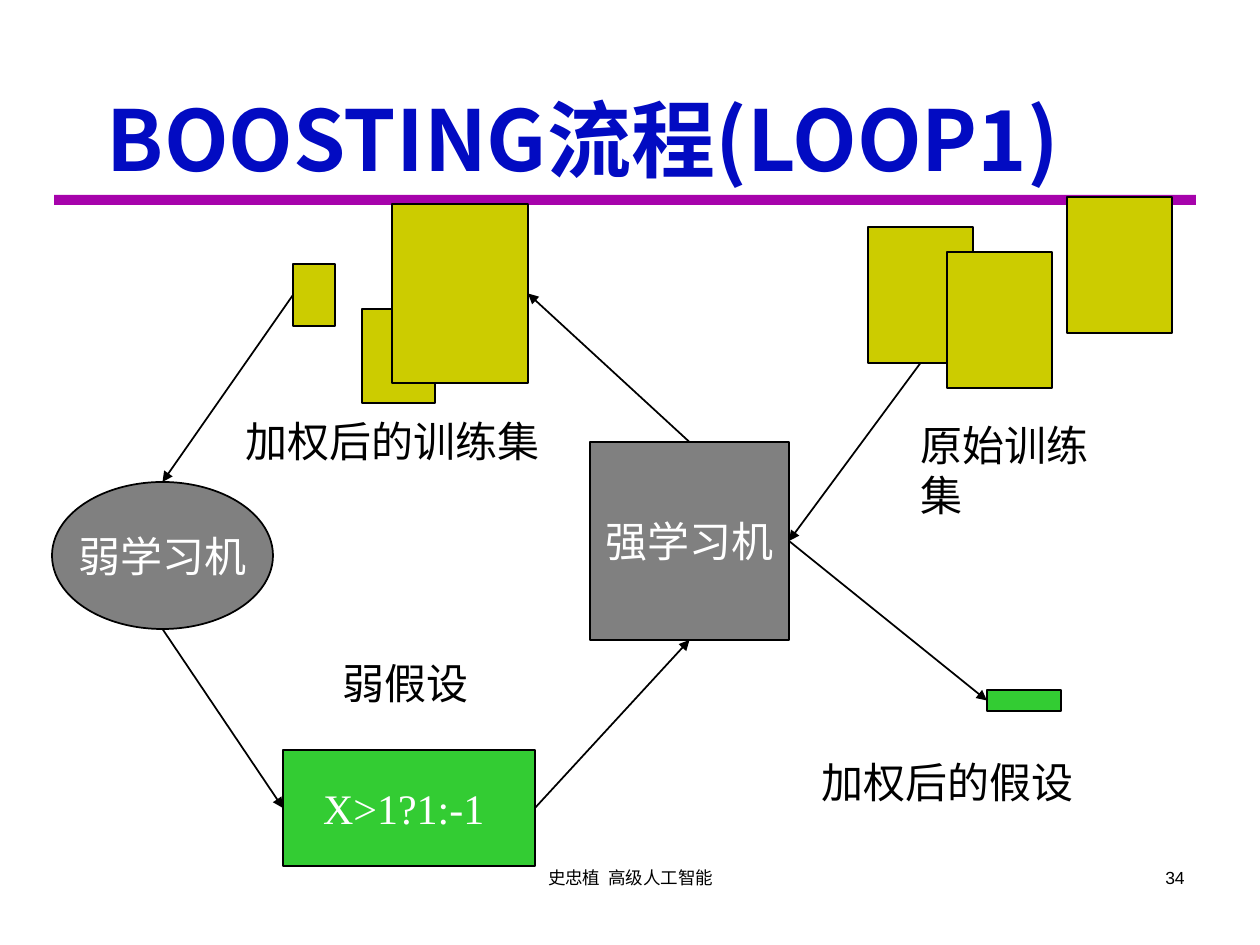
from lxml import etree
from pptx import Presentation
from pptx import util as u
from pptx.dml.color import RGBColor
from pptx.enum import shapes, text
from pptx.oxml.ns import qn

PX = 914400 / 126
BLACK = RGBColor(0x00, 0x00, 0x00)
WHITE = RGBColor(0xFF, 0xFF, 0xFF)
BLUE = RGBColor(0x02, 0x0B, 0xC2)
PURPLE = RGBColor(0xA6, 0x03, 0xAB)
GRAY = RGBColor(0x80, 0x80, 0x80)
YELLOW = RGBColor(0xCC, 0xCC, 0x00)
GREEN = RGBColor(0x33, 0xCC, 0x33)
RECT = shapes.MSO_SHAPE.RECTANGLE
OVAL = shapes.MSO_SHAPE.OVAL
LEFT, CENTER, RIGHT = text.PP_ALIGN.LEFT, text.PP_ALIGN.CENTER, text.PP_ALIGN.RIGHT
TOP, MIDDLE, BOTTOM = text.MSO_ANCHOR.TOP, text.MSO_ANCHOR.MIDDLE, text.MSO_ANCHOR.BOTTOM
SERIF, SANS, CJK = "Times New Roman", "Arial", "Noto Sans CJK JP"

prs = Presentation()
prs.slide_width, prs.slide_height = u.Inches(10), u.Inches(7.5)
slide = prs.slides.add_slide(prs.slide_layouts[6])


def write(box, words, size, font, color, align=LEFT, anchor=TOP, wrap=False):
    frame = box.text_frame
    frame.text = words
    frame.word_wrap = wrap
    frame.vertical_anchor = anchor
    paragraph = frame.paragraphs[0]
    paragraph.alignment = align
    run = paragraph.runs[0]
    run.font.size, run.font.name = u.Pt(size), font
    run.font.color.rgb = color
    east_asian = etree.SubElement(run.font._element, qn("a:ea"))
    east_asian.set("typeface", CJK)
    return run


def block(kind, box, fill, line=BLACK):
    shape = slide.shapes.add_shape(kind, *(round(v * PX) for v in box))
    shape.shadow.inherit = False
    shape.fill.solid()
    shape.fill.fore_color.rgb = fill
    if line is None:
        shape.line.fill.background()
    else:
        shape.line.color.rgb = line
        shape.line.width = u.Pt(1)
    return shape


# Rule under the title
block(RECT, (54, 195, 1142, 10), PURPLE, None)

# Title, footer and slide number
for words, box, size, font, color, align, anchor in [
    ("BOOSTING流程(LOOP1)", (63, 16, 1040, 179), 48, CJK, BLUE, CENTER, BOTTOM),
    ("史忠植  高级人工智能", (431, 861, 399, 63), 10, SANS, BLACK, CENTER, TOP),
    ("34", (903, 861, 294, 63), 10, SANS, BLACK, RIGHT, TOP),
]:
    frame_box = slide.shapes.add_textbox(*(round(v * PX) for v in box))
    run = write(frame_box, words, size, font, color, align, anchor, True)
    run.font.bold = color == BLUE

# Learners and the weak hypothesis
strong = block(RECT, (590, 442, 199, 198), GRAY)
weak = block(OVAL, (52, 482, 221, 147), GRAY)
weak_rule = block(RECT, (283, 750, 252, 116), GREEN)
for node, words in [(strong, "强学习机"), (weak, "弱学习机"), (weak_rule, "X>1?1:-1 ")]:
    write(node, words, 24, SERIF, WHITE, CENTER, MIDDLE)

# Original training set: equal sheets
original_sheets = [block(RECT, (x, y, 105, 136), YELLOW)
                   for x, y in [(868, 227), (947, 252), (1067, 197)]]

# Weighted training set: sheets sized by weight
weighted_sheets = [block(RECT, box, YELLOW) for box in [
    (293, 264, 42, 62), (362, 309, 73, 94), (392, 204, 136, 179)]]

# Weighted hypothesis
weighted_rule = block(RECT, (987, 690, 74, 21), GREEN)

# Captions
for words, x, y, width in [
    ("原始训练集", 908, 413, 234),
    ("加权后的训练集", 233, 409, 319),
    ("加权后的假设", 809, 750, 277),
    ("弱假设", 330, 651, 151),
]:
    caption = slide.shapes.add_textbox(*(round(v * PX) for v in (x, y, width, 63)))
    write(caption, words, 24, SERIF, BLACK)

# Arrows between the side midpoints, sides as fractions of width and height
SIDES = {"top": (0.5, 0), "left": (0, 0.5), "bottom": (0.5, 1), "right": (1, 0.5)}
for start, start_side, end, end_side in [
    (original_sheets[0], "bottom", strong, "right"),
    (strong, "top", weighted_sheets[2], "right"),
    (weighted_sheets[0], "left", weak, "top"),
    (weak, "bottom", weak_rule, "left"),
    (weak_rule, "right", strong, "bottom"),
    (strong, "right", weighted_rule, "left"),
]:
    points = []
    for node, side in [(start, start_side), (end, end_side)]:
        across, down = SIDES[side]
        points += [round(node.left + across * node.width),
                   round(node.top + down * node.height)]
    arrow = slide.shapes.add_connector(shapes.MSO_CONNECTOR.STRAIGHT, *points)
    arrow.line.color.rgb = BLACK
    arrow.line.width = u.Pt(1)
    head = etree.SubElement(arrow.line._get_or_add_ln(), qn("a:tailEnd"))
    for key, value in [("type", "triangle"), ("w", "med"), ("len", "med")]:
        head.set(key, value)
    etree.SubElement(arrow._element.spPr, qn("a:effectLst"))

prs.save("out.pptx")
